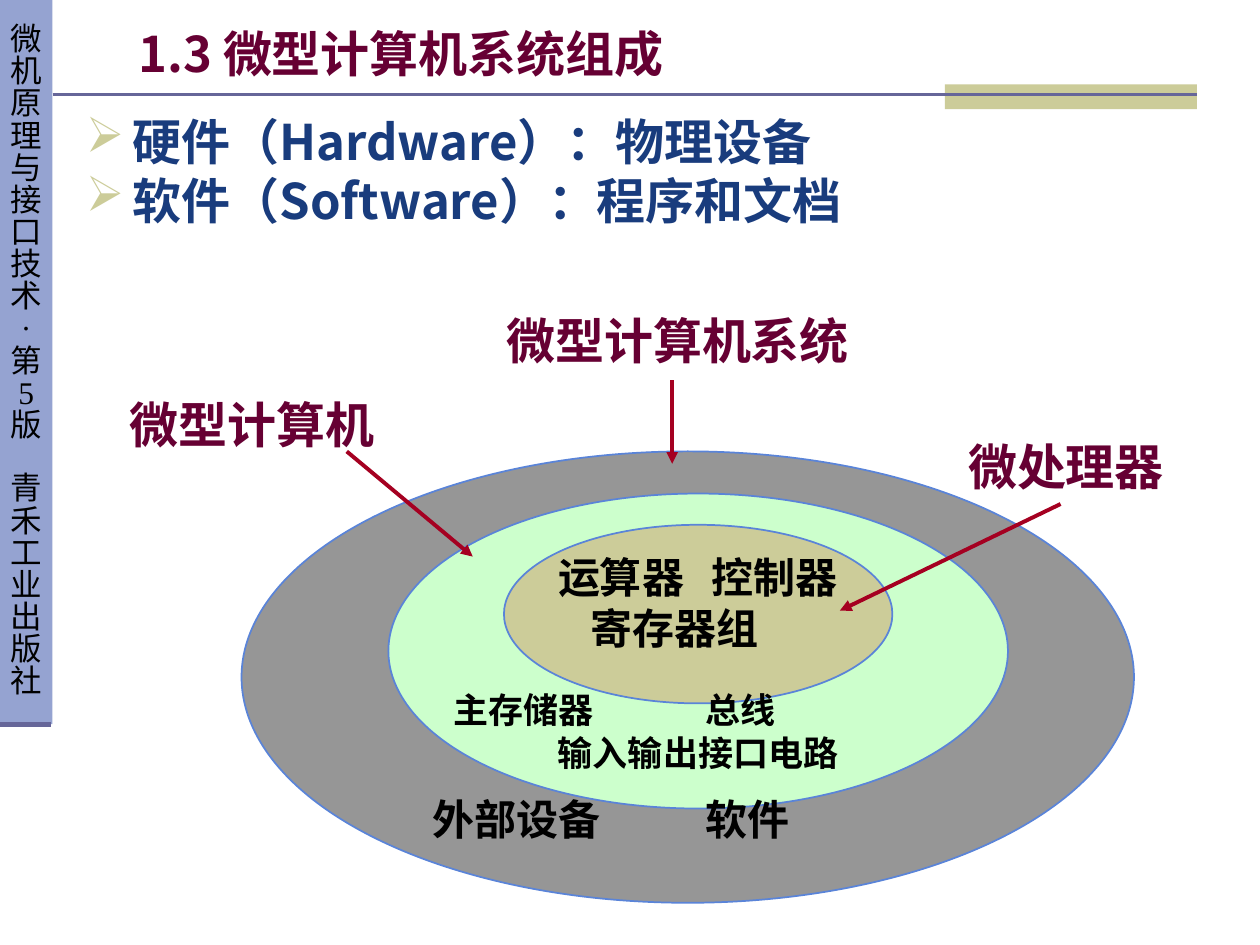
"""Build the slide on the parts of a microcomputer system."""
from dataclasses import dataclass
from typing import Optional

from lxml.etree import SubElement as Sub
from pptx import Presentation
from pptx.dml.color import RGBColor
from pptx.enum.shapes import MSO_CONNECTOR as Link, MSO_SHAPE as Shape
from pptx.enum.text import MSO_ANCHOR as Anchor, PP_ALIGN as Align
from pptx.oxml.ns import qn
from pptx.util import Cm, Pt

HEX = {"band": "95A3D1", "sand": "CCCC99", "rule": "666699", "wine": "660033",
       "red": "A50021", "navy": "193C7D", "black": "000000", "gray": "969696",
       "mint": "CCFFCC", "edge": "5A84D8"}
SANS, SERIF = "Noto Sans CJK SC", "Times New Roman"


@dataclass
class Area:
    left: float
    top: float
    width: float
    height: float

    def cm(self) -> list:
        return [Cm(n) for n in (self.left, self.top, self.width, self.height)]


@dataclass
class Para:
    text: str
    align: Align = Align.LEFT
    tab: float = 0
    right: float = 0
    gap: float = 0
    line: Optional[float] = None
    mark: str = ""


@dataclass
class Style:
    size: float
    color: str
    face: str = SANS
    bold: bool = True


@dataclass
class Note:
    area: Area
    style: Style
    paras: list
    anchor: Anchor = Anchor.TOP


@dataclass
class Oval:
    area: Area
    fill: str


@dataclass
class Line:
    start: tuple
    end: tuple
    color: str
    width: float
    arrow: bool = False


def rgb(name: str) -> RGBColor:
    return RGBColor.from_string(HEX[name])


def write(frame, paras: list, style: Style) -> None:
    """Fill a text frame with styled paragraphs."""
    frame.text = "\n".join(p.text for p in paras)
    for par, item in zip(frame.paragraphs, paras):
        props = par._p.get_or_add_pPr()
        if item.mark:
            props.set("marL", str(Cm(0.95)))
            props.set("indent", str(-Cm(0.95)))
            Sub(Sub(props, qn("a:buClr")), qn("a:srgbClr"), val=HEX["sand"])
            Sub(props, qn("a:buChar"), char=item.mark)
        if item.tab:
            Sub(Sub(props, qn("a:tabLst")), qn("a:tab"), pos=str(Cm(item.tab)), algn="l")
        if item.right:
            props.set("marR", str(Cm(item.right)))
        par.alignment = item.align
        par.space_before = Pt(item.gap)
        if item.line:
            par.line_spacing = item.line
        for run in par.runs:
            font = run.font
            font.size, font.bold, font.name = Pt(style.size), style.bold, style.face
            font.color.rgb = rgb(style.color)
            Sub(run._r.get_or_add_rPr(), qn("a:ea"), typeface=SANS)


def draw_note(slide, note: Note) -> None:
    """Add a wrapped text box."""
    frame = slide.shapes.add_textbox(*note.area.cm()).text_frame
    frame.word_wrap = True
    frame.vertical_anchor = note.anchor
    write(frame, note.paras, note.style)


def draw_shape(slide, kind: Shape, area: Area, fill: str, edge: str = ""):
    """Add a filled shape, outlined when an edge is named."""
    shape = slide.shapes.add_shape(kind, *area.cm())
    shape.shadow.inherit = False
    shape.fill.solid()
    shape.fill.fore_color.rgb = rgb(fill)
    if edge:
        shape.line.color.rgb = rgb(edge)
        shape.line.width = Pt(1)
    else:
        shape.line.fill.background()
    return shape


def draw_line(slide, line: Line) -> None:
    """Add a straight line, with an arrowhead at its end if asked."""
    ends = [Cm(n) for n in line.start + line.end]
    link = slide.shapes.add_connector(Link.STRAIGHT, *ends)
    link.line.color.rgb = rgb(line.color)
    link.line.width = Pt(line.width)
    if line.arrow:
        Sub(link.line._get_or_add_ln(), qn("a:tailEnd"), type="triangle")
    Sub(link._element.spPr, qn("a:effectLst"))


HEAD = Style(28, "wine")
NAME = Style(28, "wine", SERIF)
BOOK, PRESS = "微机原理与接口技术·第5版", "青禾工业出版社"
OVALS = [
    Oval(Area(4.87, 9.1, 17.99, 9.1), "gray"),
    Oval(Area(7.83, 9.95, 12.49, 6.35), "mint"),
    Oval(Area(10.16, 10.58, 7.83, 3.6), "sand"),
]
NOTES = [
    Note(Area(2.54, 0.18, 21.59, 1.78), HEAD,
         [Para("1.3 微型计算机系统组成")], Anchor.MIDDLE),
    Note(Area(1.48, 2.12, 16.3, 3.18), Style(28, "navy"),
         [Para("硬件（Hardware）：物理设备", Align.JUSTIFY, mark="➢"),
          Para("软件（Software）：程序和文档", Align.JUSTIFY, mark="➢")]),
    Note(Area(11, 11, 6.35, 2.49), Style(24, "black", SERIF),
         [Para("运算器\t控制器", tab=3.1),
          Para("寄存器组", Align.CENTER, right=1.17)]),
    Note(Area(8.89, 13.76, 10.37, 2.12), Style(20, "black"),
         [Para("主存储器\t总线", tab=5.08),
          Para("输入输出接口电路", Align.CENTER, gap=7, line=0.7)]),
    Note(Area(8.47, 15.88, 11.43, 1.27), Style(24, "black"),
         [Para("外部设备\t软件", tab=5.5)]),
    Note(Area(18.63, 8.68, 5.72, 1.45), NAME, [Para("微处理器", Align.CENTER)]),
    Note(Area(2.12, 7.83, 5.93, 1.45), NAME, [Para("微型计算机", Align.CENTER)]),
    Note(Area(9.53, 6.14, 8.26, 1.45), NAME, [Para("微型计算机系统", Align.CENTER)]),
]
RULES = [
    Line((1.06, 1.9), (24.13, 1.9), "rule", 1.5),
    Line((0, 14.6), (1.02, 14.6), "rule", 3),
]
ARROWS = [
    Line((21.38, 10.16), (16.93, 12.31), "red", 2.25, True),
    Line((6.99, 9.1), (9.53, 11.22), "red", 2.25, True),
    Line((13.55, 7.67), (13.55, 9.35), "red", 2.25, True),
]


def main() -> None:
    """Draw the slide and save it."""
    deck = Presentation()
    deck.slide_width, deck.slide_height = Cm(25.4), Cm(19.05)
    slide = deck.slides.add_slide(deck.slide_layouts[6])

    band = draw_shape(slide, Shape.RECTANGLE, Area(0, 0, 1.06, 14.6), "band")
    band.text_frame.word_wrap = False
    band.text_frame.vertical_anchor = Anchor.MIDDLE
    signs = [Para(c, Align.CENTER, line=0.85) for c in BOOK + PRESS]
    signs[len(BOOK)].gap = 18
    write(band.text_frame, signs, Style(18, "black", SERIF, False))

    draw_shape(slide, Shape.RECTANGLE, Area(19.05, 1.7, 5.08, 0.5), "sand")
    for rule in RULES:
        draw_line(slide, rule)
    for oval in OVALS:
        draw_shape(slide, Shape.OVAL, oval.area, oval.fill, "edge")
    for note in NOTES:
        draw_note(slide, note)
    for arrow in ARROWS:
        draw_line(slide, arrow)
    deck.save("out.pptx")


if __name__ == "__main__":
    main()
